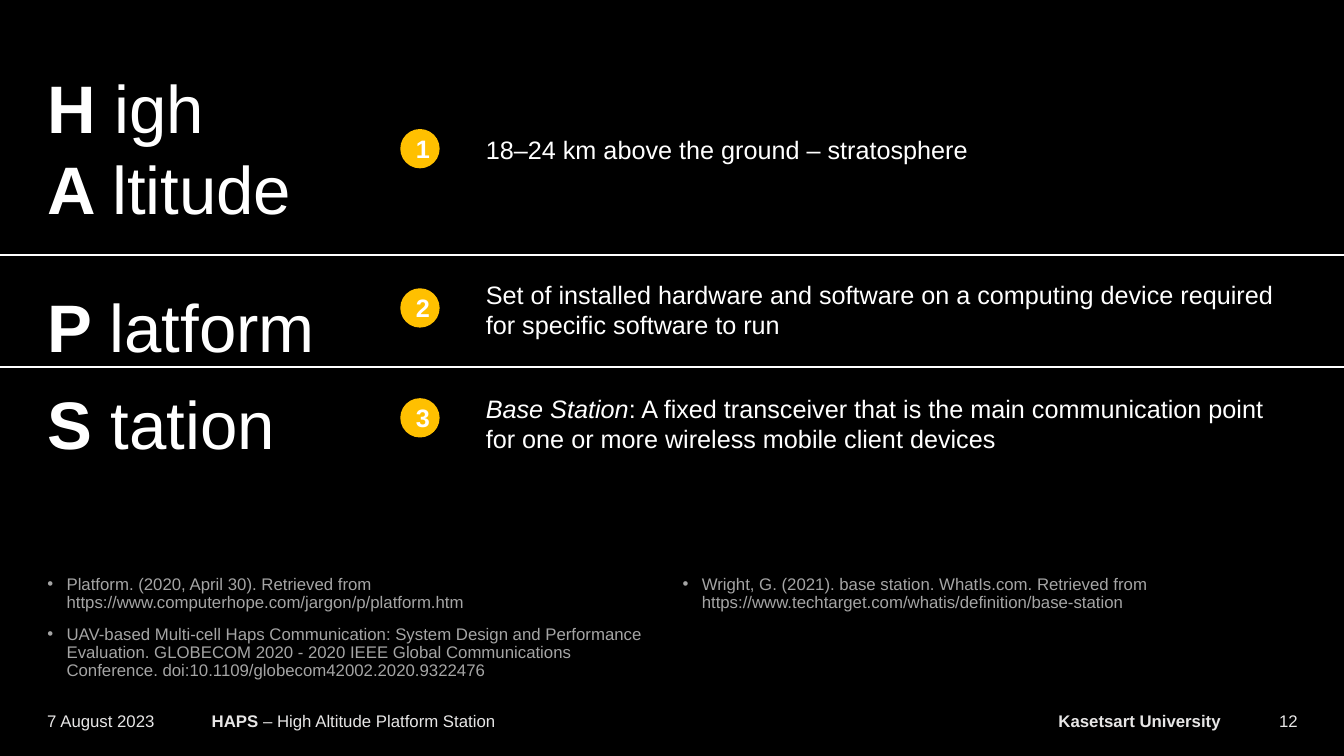
from dataclasses import dataclass

from lxml import etree
from pptx import Presentation
from pptx.dml.color import RGBColor
from pptx.enum.shapes import MSO_CONNECTOR, MSO_SHAPE
from pptx.enum.text import MSO_ANCHOR, MSO_AUTO_SIZE, PP_ALIGN
from pptx.oxml.ns import qn
from pptx.util import Inches, Pt

OVAL = MSO_SHAPE.OVAL
STRAIGHT = MSO_CONNECTOR.STRAIGHT
TOP, MIDDLE, BOTTOM = MSO_ANCHOR.TOP, MSO_ANCHOR.MIDDLE, MSO_ANCHOR.BOTTOM
LEFT, CENTER, RIGHT = PP_ALIGN.LEFT, PP_ALIGN.CENTER, PP_ALIGN.RIGHT
FIXED = MSO_AUTO_SIZE.NONE


@dataclass(frozen=True)
class Theme:
    font: str = "Arial"
    back: str = "000000"
    text: str = "FFFFFF"
    badge: str = "FFC000"
    cite: str = "A5A5A5"
    foot: str = "E7E6E6"
    head: int = 48
    main: int = 18
    small: int = 12


THEME = Theme()
WIDTH, HEIGHT = 13.33, 7.5
EDGE = 0.37

# Title: (line space, space before, space after, lines of initial and rest)
WORDS = [
    (1, 0, 0, [("H ", "igh"), ("A ", "ltitude")]),
    (1.5, 12, 0, [("P ", "latform")]),
    (1, 12, 12, [("S ", "tation")]),
]

# Badge top, text top, text height, runs of (text, italic)
NOTES = [
    (1.28, 1.23, 0.5, [("18–24 km above the ground – stratosphere", False)]),
    (2.86, 2.67, 0.81, [
        ("Set of installed hardware and software on a computing device "
         "required for specific software to run", False)]),
    (3.95, 3.8, 0.81, [
        ("Base Station", True),
        (": A fixed transceiver that is the main communication point for "
         "one or more wireless mobile client devices", False)]),
]
RULES = [2.53, 3.64]

CITES = [
    "Platform. (2020, April 30). Retrieved from "
    "https://www.computerhope.com/jargon/p/platform.htm",
    "UAV-based Multi-cell Haps Communication: System Design and Performance "
    "Evaluation. GLOBECOM 2020 - 2020 IEEE Global Communications Conference. "
    "doi:10.1109/globecom42002.2020.9322476",
    "Wright, G. (2021). base station. WhatIs.com. Retrieved from "
    "https://www.techtarget.com/whatis/definition/base-station",
]

# Footer: left, width, alignment, runs of (text, bold)
FOOT = [
    (EDGE, 1.28, LEFT, [("7 August 2023", False)]),
    (1.82, 10.57, CENTER, [
        ("HAPS ", True), ("– High Altitude Platform Station\t", False),
        ("Kasetsart University", True)]),
    (12.39, 0.58, RIGHT, [("12", False)]),
]


def place(shape, left, top, width, height):
    shape.left, shape.top = Inches(left), Inches(top)
    shape.width, shape.height = Inches(width), Inches(height)


def setup(shape, anchor, side=0.1, edge=0.05):
    frame = shape.text_frame
    frame.word_wrap = True
    frame.auto_size = FIXED
    frame.vertical_anchor = anchor
    frame.margin_left = frame.margin_right = Inches(side)
    frame.margin_top = frame.margin_bottom = Inches(edge)
    return frame


def add_run(para, text, size, color, bold=False, italic=False):
    run = para.add_run()
    run.text = text
    font = run.font
    font.name, font.size = THEME.font, Pt(size)
    font.bold, font.italic = bold, italic
    font.color.rgb = RGBColor.from_string(color)


def add_para(frame, index, align=LEFT, line=1, before=0, after=0):
    para = frame.add_paragraph() if index else frame.paragraphs[0]
    para.alignment = align
    para.line_spacing = line
    para.space_before, para.space_after = Pt(before), Pt(after)
    return para


def add_box(slide, left, top, width, height, anchor, edge=0.05):
    box = slide.shapes.add_textbox(
        Inches(left), Inches(top), Inches(width), Inches(height))
    return setup(box, anchor, edge=edge)


def add_title(slide):
    title = slide.shapes.title
    place(title, EDGE, 0.56, 3.24, 4.34)
    frame = setup(title, TOP, edge=0.1)
    for index, (line, before, after, rows) in enumerate(WORDS):
        para = add_para(frame, index, LEFT, line, before, after)
        for row, (first, rest) in enumerate(rows):
            if row:
                para.add_line_break()
            add_run(para, first, THEME.head, THEME.text, bold=True)
            add_run(para, rest, THEME.head, THEME.text)


def add_cites(slide):
    body = slide.placeholders[1]
    place(body, EDGE, 5.48, 12.6, 1.32)
    frame = setup(body, BOTTOM)
    props = body.text_frame._txBody.bodyPr
    props.set("numCol", "2")
    props.set("spcCol", str(Inches(0.2)))
    for index, text in enumerate(CITES):
        para = add_para(frame, index, LEFT, 0.9, 10 if index else 0)
        props = para._p.get_or_add_pPr()
        props.set("marL", str(Inches(0.19)))
        props.set("indent", str(Inches(-0.19)))
        etree.SubElement(props, qn("a:buChar")).set("char", "•")
        add_run(para, text, THEME.small, THEME.cite)


def add_rule(slide, top):
    rule = slide.shapes.add_connector(
        STRAIGHT, 0, Inches(top), Inches(WIDTH), Inches(top))
    rule.line.color.rgb = RGBColor.from_string(THEME.text)
    rule.line.width = Pt(1)
    etree.SubElement(rule._element.spPr, qn("a:effectLst"))


def add_badge(slide, top, label):
    size = Inches(0.39)
    badge = slide.shapes.add_shape(OVAL, Inches(3.97), Inches(top), size, size)
    badge.shadow.inherit = False
    badge.fill.solid()
    badge.fill.fore_color.rgb = RGBColor.from_string(THEME.badge)
    badge.line.fill.background()
    para = add_para(setup(badge, MIDDLE), 0, CENTER)
    add_run(para, label, THEME.main, THEME.text, bold=True)


def add_note(slide, top, height, runs):
    frame = add_box(slide, 4.72, top, 8.25, height, TOP, edge=0.1)
    para = add_para(frame, 0)
    for text, italic in runs:
        add_run(para, text, THEME.main, THEME.text, italic=italic)


def add_foot(slide, left, width, align, runs):
    frame = add_box(slide, left, 6.95, width, 0.4, MIDDLE)
    para = add_para(frame, 0, align)
    if any("\t" in text for text, _ in runs):
        tabs = etree.SubElement(para._p.get_or_add_pPr(), qn("a:tabLst"))
        tab = etree.SubElement(tabs, qn("a:tab"))
        tab.set("pos", str(Inches(10.01)))
        tab.set("algn", "r")
    for text, bold in runs:
        add_run(para, text, THEME.small, THEME.foot, bold=bold)


def main():
    deck = Presentation()
    deck.slide_width, deck.slide_height = Inches(WIDTH), Inches(HEIGHT)
    slide = deck.slides.add_slide(deck.slide_layouts[1])
    fill = slide.background.fill
    fill.solid()
    fill.fore_color.rgb = RGBColor.from_string(THEME.back)

    # References and footer
    add_cites(slide)
    for item in FOOT:
        add_foot(slide, *item)

    # Name and its explanations
    add_title(slide)
    for top in RULES:
        add_rule(slide, top)
    for number, (spot, top, height, runs) in enumerate(NOTES, 1):
        add_note(slide, top, height, runs)
        add_badge(slide, spot, str(number))

    deck.save("out.pptx")


if __name__ == "__main__":
    main()
